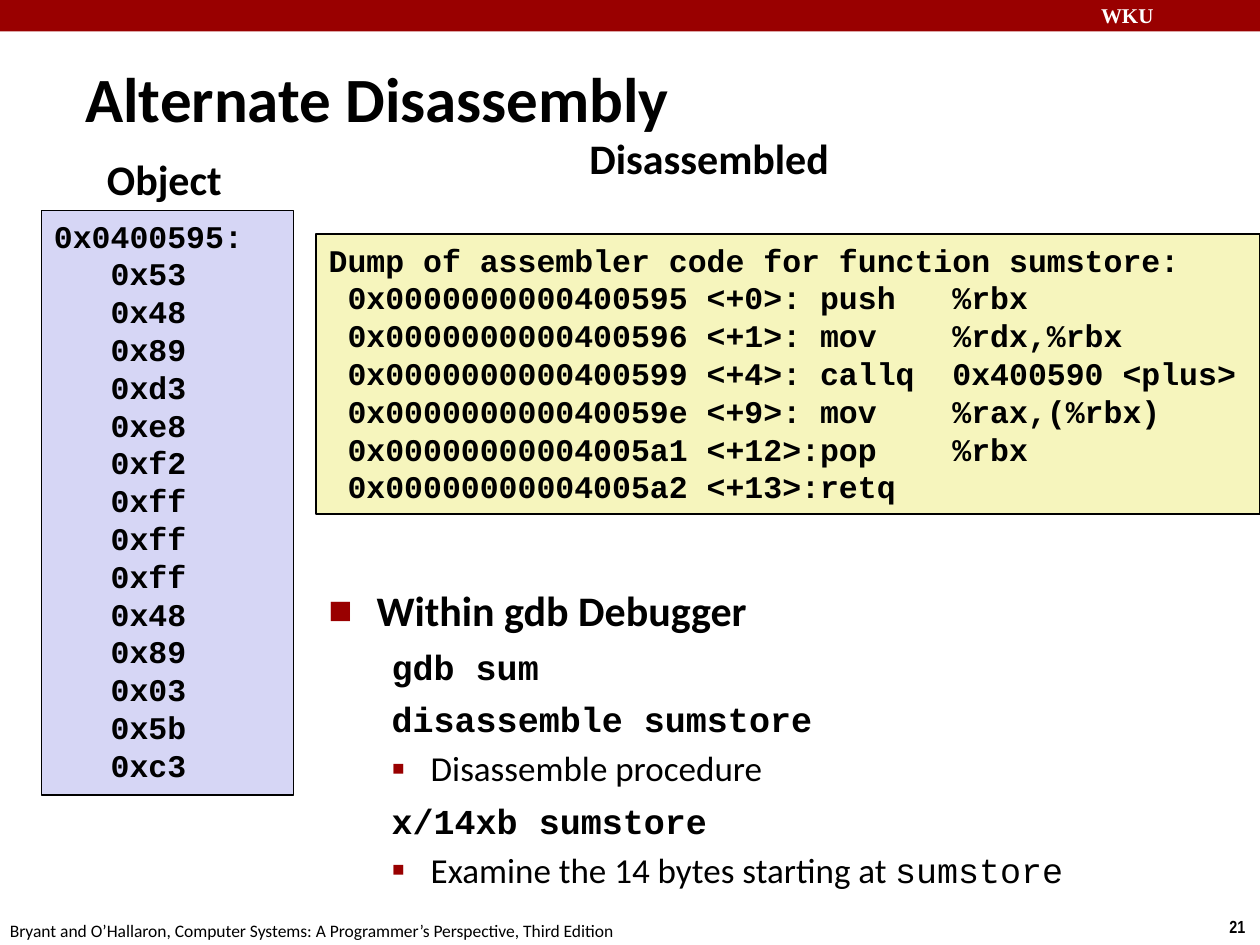
from dataclasses import dataclass

from lxml.etree import SubElement
from pptx import Presentation
from pptx.dml.color import RGBColor
from pptx.enum.shapes import MSO_SHAPE
from pptx.enum.text import MSO_ANCHOR, PP_ALIGN
from pptx.oxml.ns import qn
from pptx.util import Inches, Pt


@dataclass(frozen=True)
class Theme:
    red: RGBColor = RGBColor(0x99, 0x00, 0x00)
    black: RGBColor = RGBColor(0, 0, 0)
    white: RGBColor = RGBColor(0xFF, 0xFF, 0xFF)
    yellow: RGBColor = RGBColor(0xF6, 0xF5, 0xBD)
    lavender: RGBColor = RGBColor(0xD6, 0xD6, 0xF5)
    sans: str = "Calibri"
    mono: str = "Courier New"
    narrow: str = "Arial Narrow"
    serif: str = "Times New Roman"
    title: Pt = Pt(36)
    heading: Pt = Pt(24)
    body: Pt = Pt(20)
    code: Pt = Pt(18)
    code_line: Pt = Pt(21.6)
    brand: Pt = Pt(12)
    footer: Pt = Pt(10)


THEME = Theme()

HEADING = {"name": THEME.sans, "size": THEME.heading, "bold": True}
CODE = {"name": THEME.mono, "size": THEME.code, "bold": True}
COMMAND = {"name": THEME.mono, "size": THEME.body, "bold": True}
DETAIL = {"name": THEME.sans, "size": THEME.body, "bold": False}
DETAIL_CODE = {**DETAIL, "name": THEME.mono}

OBJECT_BYTES = "53 48 89 d3 e8 f2 ff ff ff 48 89 03 5b c3".split()
OBJECT_LINES = ["0x0400595:"] + [f"   0x{byte}" for byte in OBJECT_BYTES]

DUMP_LINES = [
    "Dump of assembler code for function sumstore:",
    " 0x0000000000400595 <+0>: push   %rbx",
    " 0x0000000000400596 <+1>: mov    %rdx,%rbx",
    " 0x0000000000400599 <+4>: callq  0x400590 <plus>",
    " 0x000000000040059e <+9>: mov    %rax,(%rbx)",
    " 0x00000000004005a1 <+12>:pop    %rbx",
    " 0x00000000004005a2 <+13>:retq",
]

TOPIC_LEVEL = {"level": 0, "margin": 0.38, "indent": -0.38, "mark": "■", "percent": 60}
COMMAND_LEVEL = {"level": 1, "margin": 0.81, "indent": -0.31}
DETAIL_LEVEL = {**COMMAND_LEVEL, "mark": "▪", "percent": 110}

# Each line: level, space before in points, spans of (text, format)
DEBUGGER_NOTES = [
    (TOPIC_LEVEL, 0, [("Within gdb Debugger", HEADING)]),
    (COMMAND_LEVEL, 6, [("gdb sum", COMMAND)]),
    (COMMAND_LEVEL, 6, [("disassemble sumstore", COMMAND)]),
    (DETAIL_LEVEL, 4, [("Disassemble procedure", DETAIL)]),
    (COMMAND_LEVEL, 6, [("x/14xb sumstore", COMMAND)]),
    (DETAIL_LEVEL, 4, [("Examine the 14 bytes starting at ", DETAIL),
                       ("sumstore", DETAIL_CODE)]),
]


def add_span(para, text, values, color=THEME.black):
    span = para.add_run()
    span.text = text
    for name, value in values.items():
        setattr(span.font, name, value)
    span.font.color.rgb = color


def add_label(page, bounds, text, values, color=THEME.black, wrap=True,
              anchor=MSO_ANCHOR.TOP):
    box = page.shapes.add_textbox(*map(Inches, bounds))
    box.text_frame.word_wrap = wrap
    box.text_frame.vertical_anchor = anchor
    add_span(box.text_frame.paragraphs[0], text, values, color)


def add_rectangle(page, bounds, fill):
    box = page.shapes.add_shape(MSO_SHAPE.RECTANGLE, *map(Inches, bounds))
    box.shadow.inherit = False
    box.fill.solid()
    box.fill.fore_color.rgb = fill
    box.line.fill.background()
    return box


def add_code_panel(page, bounds, lines, fill):
    box = add_rectangle(page, bounds, fill)
    box.line.color.rgb = THEME.black
    box.line.width = Pt(1)
    frame = box.text_frame
    frame.word_wrap = True
    frame.vertical_anchor = MSO_ANCHOR.TOP
    for index, line in enumerate(lines):
        para = frame.add_paragraph() if index else frame.paragraphs[0]
        para.alignment = PP_ALIGN.LEFT
        para.line_spacing = THEME.code_line
        add_span(para, line, CODE)


def set_level(para, level, margin, indent, mark=None, percent=100):
    """Set the outline level, hanging indent and optional bullet."""
    para.level = level
    properties = para._p.get_or_add_pPr()
    properties.set("marL", str(Inches(margin)))
    properties.set("indent", str(Inches(indent)))
    if mark is None:
        SubElement(properties, qn("a:buNone"))
        return
    color = SubElement(properties, qn("a:buClr"))
    SubElement(color, qn("a:srgbClr"), val=str(THEME.red))
    SubElement(properties, qn("a:buSzPct"), val=str(percent * 1000))
    SubElement(properties, qn("a:buFont"), typeface=THEME.sans)
    SubElement(properties, qn("a:buChar"), char=mark)


def add_notes_list(page, bounds, notes):
    frame = page.shapes.add_textbox(*map(Inches, bounds)).text_frame
    frame.word_wrap = True
    for index, (level, space, spans) in enumerate(notes):
        para = frame.add_paragraph() if index else frame.paragraphs[0]
        para.space_before = Pt(space)
        set_level(para, **level)
        for text, values in spans:
            add_span(para, text, values)


def add_page_frame(page, width, height):
    """Place the top band, the page number and the book credit."""
    add_rectangle(page, (0, 0, width, 0.25), THEME.red)
    add_label(page, (width - 1.36, -0.03, 1.43, 0.3), "WKU",
              {"name": THEME.serif, "size": THEME.brand, "bold": True}, THEME.white)
    add_label(page, (width - 0.34, height - 0.28, 0.34, 0.27), "21",
              {"name": THEME.narrow, "size": THEME.footer, "bold": True}, wrap=False)
    add_label(page, (-0.02, height - 0.25, 5.08, 0.27),
              "Bryant and O’Hallaron, Computer Systems: "
              "A Programmer’s Perspective, Third Edition",
              {"name": THEME.sans, "size": THEME.footer}, wrap=False)


def main():
    width, height = 10, 7.5
    deck = Presentation()
    deck.slide_width, deck.slide_height = Inches(width), Inches(height)
    page = deck.slides.add_slide(deck.slide_layouts[6])

    add_page_frame(page, width, height)
    add_label(page, (0.58, 0.46, 6.83, 0.63), "Alternate Disassembly",
              {**HEADING, "size": THEME.title}, anchor=MSO_ANCHOR.MIDDLE)
    add_label(page, (4.58, 1, 2.85, 0.45), "Disassembled", HEADING)
    add_code_panel(page, (2.51, 1.86, 7.49, 2.22), DUMP_LINES, THEME.yellow)
    add_notes_list(page, (2.51, 4.59, 6.89, 2.46), DEBUGGER_NOTES)
    add_label(page, (0.75, 1.17, 1.43, 0.45), "Object", HEADING)
    add_code_panel(page, (0.33, 1.67, 2, 4.64), OBJECT_LINES, THEME.lavender)

    deck.save("out.pptx")


if __name__ == "__main__":
    main()
